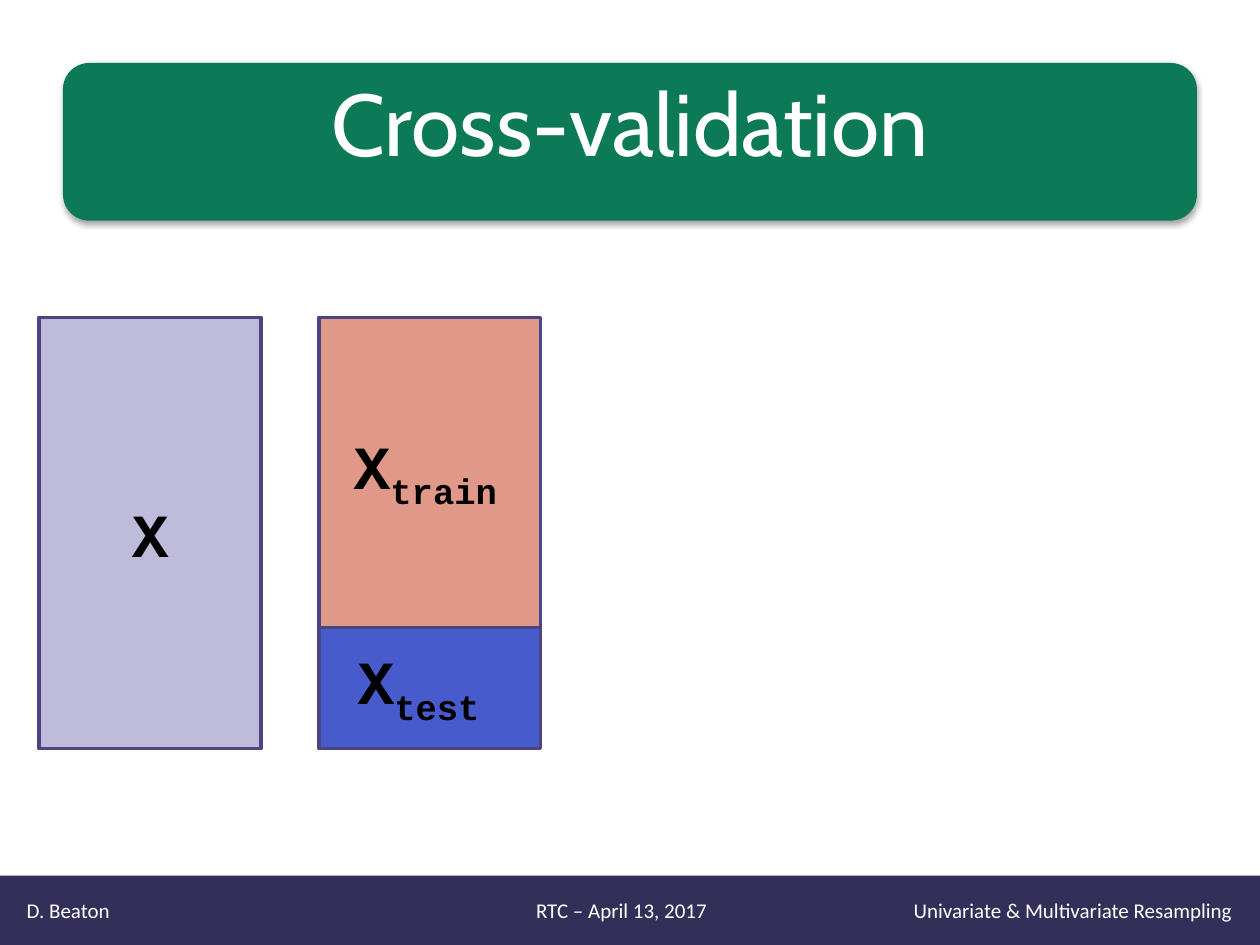
from lxml.etree import SubElement
from pptx import Presentation
from pptx.dml.color import RGBColor
from pptx.enum.shapes import MSO_SHAPE
from pptx.enum.text import MSO_ANCHOR, MSO_AUTO_SIZE, PP_ALIGN
from pptx.oxml.ns import qn
from pptx.util import Cm, Pt

TITLE = "Cross-validation"
FOOTER = ["D. Beaton", "RTC – April 13, 2017", "Univariate & Multivariate Resampling"]
FOOTER_TABS = [("ctr", 11.99), ("r", 24.3)]
BANNER = (1.27, 1.27, 22.86, 3.18)
BLOCK_TOP, BLOCK_WIDTH, LABEL_HEIGHT = 6.4, 4.47, 1.75

# block: left, parts from top to bottom
# part: height, fill, subscript, label left, label top, label width
BLOCKS = [
    (0.79, [(8.69, "BFBBDB", "", 2.41, 9.88, 1.27)]),
    (6.43, [(6.25, "E09888", "train", 6.88, 8.51, 3.76),
            (2.44, "475BCD", "test", 6.96, 12.85, 3.25)]),
]


def color(fmt, value):
    if hasattr(fmt, "solid"):
        fmt.solid()
        fmt = fmt.fore_color
    fmt.rgb = RGBColor.from_string(value)


def add_box(s, kind, box, fill, line=None):
    sp = s.shapes.add_shape(kind, *map(Cm, box))
    sp.shadow.inherit = False
    color(sp.fill, fill)
    if line:
        color(sp.line.fill, line)
        sp.line.width = Pt(2)
    else:
        sp.line.fill.background()
    return sp


def add_run(p, text, font, size, value, bold=False):
    r = p.add_run()
    r.text = text
    r.font.name, r.font.size, r.font.bold = font, Pt(size), bold
    color(r.font.color, value)
    return r


def add_banner(s):
    sp = add_box(s, MSO_SHAPE.ROUNDED_RECTANGLE, BANNER, "0C7A57")
    effects = sp.element.spPr.find(qn("a:effectLst"))
    shadow = SubElement(effects, qn("a:outerShdw"), blurRad=str(Pt(3.1)),
                        dist=str(Pt(1.8)), dir="5400000", rotWithShape="0")
    black = SubElement(shadow, qn("a:srgbClr"), val="000000")
    SubElement(black, qn("a:alpha"), val="35000")


def add_title(s):
    sp = s.shapes.title
    sp.left, sp.top, sp.width, sp.height = map(Cm, BANNER)
    s.shapes.element.append(sp.element)
    tf = sp.text_frame
    tf.auto_size = MSO_AUTO_SIZE.NONE
    tf.vertical_anchor = MSO_ANCHOR.TOP
    p = tf.paragraphs[0]
    p.alignment = PP_ALIGN.CENTER
    add_run(p, TITLE, "Cabin", 50, "FFFFFF")


def add_footer(s):
    sp = add_box(s, MSO_SHAPE.RECTANGLE, (0, 17.65, 25.4, 1.4), "342F59")
    tf = sp.text_frame
    tf.vertical_anchor = MSO_ANCHOR.MIDDLE
    tf.margin_left = Cm(0.54)
    p = tf.paragraphs[0]
    p.alignment = PP_ALIGN.LEFT
    tabs = SubElement(p._p.get_or_add_pPr(), qn("a:tabLst"))
    for align, pos in FOOTER_TABS:
        SubElement(tabs, qn("a:tab"), pos=str(Cm(pos)), algn=align)
    add_run(p, "\t".join(FOOTER), "Calibri", 12, "FFFFFF")


def add_label(s, subscript, left, top, width):
    sp = s.shapes.add_textbox(Cm(left), Cm(top), Cm(width), Cm(LABEL_HEIGHT))
    tf = sp.text_frame
    tf.word_wrap = False
    tf.auto_size = MSO_AUTO_SIZE.SHAPE_TO_FIT_TEXT
    p = tf.paragraphs[0]
    add_run(p, "X", "Courier New", 35, "000000", True)
    if subscript:
        r = add_run(p, subscript, "Courier New", 35, "000000", True)
        r._r.get_or_add_rPr().set("baseline", "-25000")


def main():
    prs = Presentation()
    prs.slide_width, prs.slide_height = Cm(25.4), Cm(19.05)
    s = prs.slides.add_slide(prs.slide_layouts[5])
    add_banner(s)
    add_footer(s)
    add_title(s)
    for left, parts in BLOCKS:
        top = BLOCK_TOP
        for height, fill, *label in parts:
            add_box(s, MSO_SHAPE.RECTANGLE, (left, top, BLOCK_WIDTH, height), fill, "4B4582")
            add_label(s, *label)
            top += height
    prs.save("out.pptx")


if __name__ == "__main__":
    main()
